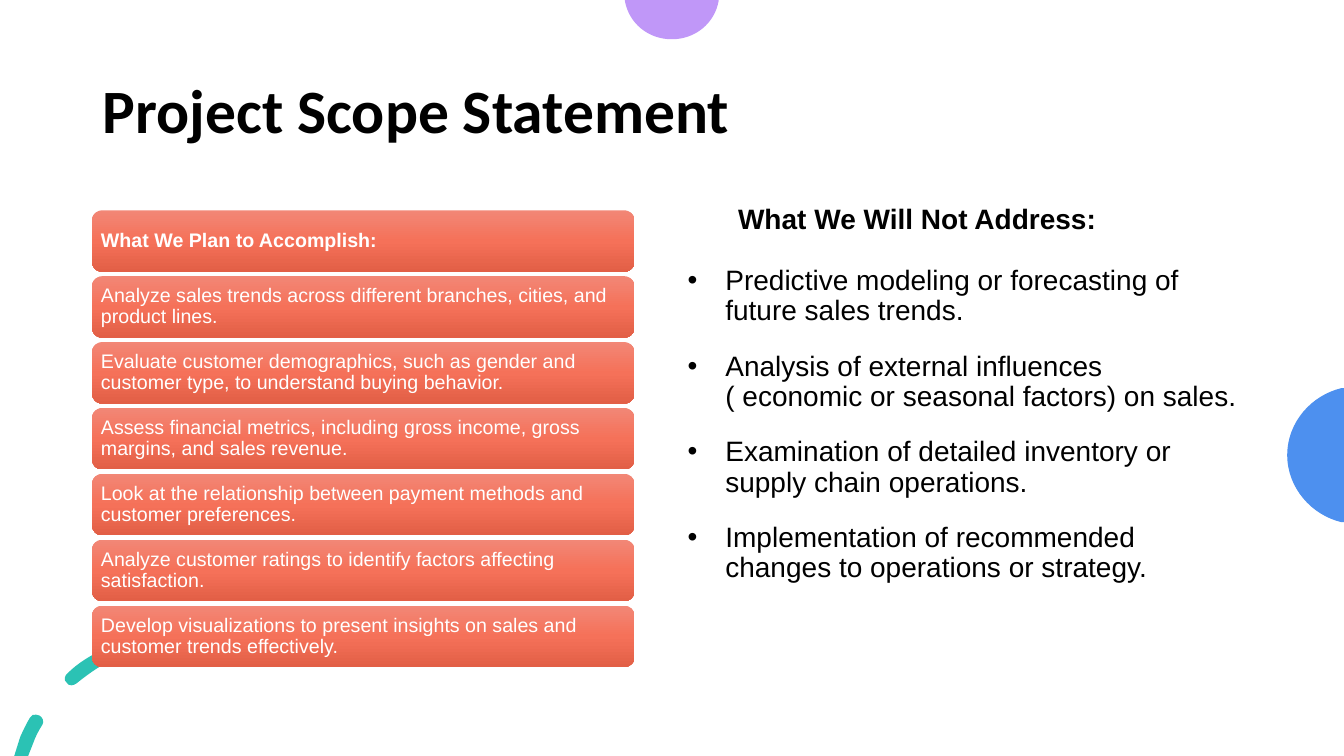
from lxml import etree
from pptx import Presentation
from pptx.dml.color import RGBColor
from pptx.enum.shapes import MSO_SHAPE as Shape
from pptx.enum.text import MSO_ANCHOR as Anchor, PP_ALIGN as Align
from pptx.oxml import parse_xml
from pptx.oxml.ns import nsdecls, qn
from pptx.util import Cm, Pt

# Content
TITLE = "Project Scope Statement"
PLAN = [
    "What We Plan to Accomplish:",
    "Analyze sales trends across different branches, cities, and product lines.",
    "Evaluate customer demographics, such as gender and customer type, to understand buying behavior.",
    "Assess financial metrics, including gross income, gross margins, and sales revenue.",
    "Look at the relationship between payment methods and customer preferences.",
    "Analyze customer ratings to identify factors affecting satisfaction.",
    "Develop visualizations to present insights on sales and customer trends effectively.",
]
EXCLUDED_HEADING = "What We Will Not Address:"
EXCLUDED = [
    "Predictive modeling or forecasting of future sales trends.",
    "Analysis of external influences ( economic or seasonal factors) on sales.",
    "Examination of detailed inventory or supply chain operations.",
    "Implementation of recommended changes to operations or strategy.",
]

# Layout in centimetres
SLIDE_WIDTH, SLIDE_HEIGHT = 33.87, 19.05
TITLE_BOX = (2.34, 1.02, 29.21, 3.68)
EXCLUDED_BOX = (17.08, 5.05, 14.48, 11.94)
CARD_LEFT, CARD_TOP, CARD_WIDTH, CARD_HEIGHT, CARD_PITCH = 2.32, 5.3, 13.67, 1.55, 1.66
CARD_GRADIENT = [(0, "F28776"), (50, "F57159"), (100, "E25F46")]

# Outlines: a start point, then lines (2 numbers) and cubic curves (6 numbers)
TOP_CIRCLE = [
    (15.75, 0), (18.11, 0), (18.11, 0.03), (18.01, 0.58, 17.53, 0.99, 16.93, 0.99),
    (16.33, 0.99, 15.85, 0.58, 15.75, 0.03),
]
RIGHT_CIRCLE = [
    (33.87, 9.78), (33.87, 13.16), (33.81, 13.16), (33.05, 12.98, 32.44, 12.29, 32.44, 11.47),
    (32.44, 10.64, 33.05, 9.96, 33.81, 9.78),
]
LOWER_DASH = [
    (0.91, 18.01), (0.86, 17.98, 0.79, 18.03, 0.76, 18.08),
    (0.66, 18.24, 0.58, 18.42, 0.51, 18.57), (0.36, 19.05), (0.71, 19.05),
    (0.84, 18.72), (0.89, 18.57, 0.97, 18.42, 1.07, 18.26),
    (1.12, 18.19, 1.07, 18.06, 0.99, 18.03), (0.97, 18.01, 0.94, 18.01, 0.91, 18.01),
]
MIDDLE_DASH = [
    (2.67, 16.33), (2.64, 16.33, 2.62, 16.33, 2.62, 16.36),
    (2.29, 16.51, 1.96, 16.71, 1.7, 16.97), (1.63, 17.02, 1.6, 17.15, 1.68, 17.2),
    (1.7, 17.25, 1.75, 17.27, 1.8, 17.27), (1.85, 17.27, 1.88, 17.25, 1.93, 17.22),
    (2.18, 17.02, 2.46, 16.81, 2.77, 16.66), (2.84, 16.61, 2.9, 16.51, 2.84, 16.43),
    (2.82, 16.36, 2.74, 16.33, 2.67, 16.33),
]
UPPER_DASH = [
    (4.55, 15.88), (4.37, 15.88, 4.19, 15.9, 4.01, 15.93),
    (3.91, 15.93, 3.84, 16.03, 3.86, 16.13), (3.86, 16.21, 3.94, 16.28, 4.01, 16.28),
    (4.39, 16.23, 4.72, 16.23, 5.05, 16.26), (5.16, 16.28, 5.26, 16.21, 5.26, 16.13),
    (5.28, 16.03, 5.21, 15.93, 5.11, 15.93), (4.93, 15.9, 4.72, 15.88, 4.55, 15.88),
]
DECORATION = [
    ([TOP_CIRCLE], "C097F8"),
    ([LOWER_DASH, MIDDLE_DASH, UPPER_DASH], "2BC2B4"),
    ([RIGHT_CIRCLE], "4D90EF"),
]


def color(hex_string):
    return RGBColor.from_string(hex_string)


def add_outline(slide, contours, fill):
    builder = slide.shapes.build_freeform(*map(Cm, contours[0][0]))
    for index, (start, *segments) in enumerate(contours):
        if index:
            builder.move_to(*map(Cm, start))
        points = [(Cm(segment[i]), Cm(segment[i + 1]))
                  for segment in segments for i in range(0, len(segment), 2)]
        builder.add_line_segments(points, close=True)
    shape = builder.convert_to_shape()
    shape.shadow.inherit = False
    shape.fill.solid()
    shape.fill.fore_color.rgb = color(fill)
    shape.line.fill.background()

    # Join the three points of each curve into one cubic segment
    lines = iter(list(shape._element.spPr.iter(qn("a:lnTo"))))
    for segment in (segment for contour in contours for segment in contour[1:]):
        first = next(lines)
        if len(segment) == 6:
            curve = etree.Element(qn("a:cubicBezTo"))
            first.addprevious(curve)
            for line in (first, next(lines), next(lines)):
                curve.append(line[0])
                line.getparent().remove(line)


def add_text_box(slide, box, anchor):
    frame = slide.shapes.add_textbox(*map(Cm, box)).text_frame
    frame.word_wrap = True
    frame.vertical_anchor = anchor
    return frame


def write(paragraph, text, size, font_name, hex_string, bold=False):
    paragraph.text = text
    paragraph.alignment = Align.LEFT
    paragraph.line_spacing = 0.9
    font = paragraph.runs[0].font
    font.size, font.name, font.bold = Pt(size), font_name, bold
    font.color.rgb = color(hex_string)


def set_indent(paragraph, left, first=0, bullet=None):
    properties = paragraph._p.get_or_add_pPr()
    properties.set("marL", str(Cm(left)))
    properties.set("indent", str(Cm(first)))
    if bullet:
        etree.SubElement(properties, qn("a:buFont")).set("typeface", "Arial")
        etree.SubElement(properties, qn("a:buChar")).set("char", bullet)


def fill_gradient(shape, stops):
    shape.fill.background()
    stop_xml = "".join(f'<a:gs pos="{percent * 1000}"><a:srgbClr val="{value}"/></a:gs>'
                       for percent, value in stops)
    gradient = parse_xml(f'<a:gradFill {nsdecls("a")} rotWithShape="1"><a:gsLst>{stop_xml}'
                         '</a:gsLst><a:lin ang="5400000" scaled="0"/></a:gradFill>')
    properties = shape._element.spPr
    properties.replace(properties.find(qn("a:noFill")), gradient)


def add_card(slide, index, text):
    shape = slide.shapes.add_shape(
        Shape.ROUNDED_RECTANGLE, Cm(CARD_LEFT), Cm(CARD_TOP + index * CARD_PITCH),
        Cm(CARD_WIDTH), Cm(CARD_HEIGHT))
    shape.shadow.inherit = False
    shape.line.fill.background()
    fill_gradient(shape, CARD_GRADIENT)
    frame = shape.text_frame
    frame.word_wrap = True
    frame.vertical_anchor = Anchor.MIDDLE
    frame.margin_left = frame.margin_right = Cm(0.15)
    frame.margin_top = frame.margin_bottom = Cm(0.15)
    write(frame.paragraphs[0], text, 14, "Arial", "FFFFFF", bold=index == 0)


def main():
    presentation = Presentation()
    presentation.slide_width, presentation.slide_height = Cm(SLIDE_WIDTH), Cm(SLIDE_HEIGHT)
    slide = presentation.slides.add_slide(presentation.slide_layouts[6])

    # Decoration
    for contours, fill in DECORATION:
        add_outline(slide, contours, fill)

    # Title
    title = add_text_box(slide, TITLE_BOX, Anchor.MIDDLE)
    write(title.paragraphs[0], TITLE, 44, "Calibri", "000000", bold=True)

    # Out of scope
    excluded = add_text_box(slide, EXCLUDED_BOX, Anchor.TOP)
    heading = excluded.paragraphs[0]
    write(heading, EXCLUDED_HEADING, 20, "Arial", "000000", bold=True)
    heading.space_before = heading.space_after = Pt(12)
    set_indent(heading, 1.27)
    for text in EXCLUDED:
        paragraph = excluded.add_paragraph()
        write(paragraph, text, 20, "Arial", "000000")
        paragraph.space_before, paragraph.space_after = Pt(10), Pt(8)
        set_indent(paragraph, 0.95, -0.95, "•")

    # In scope
    for index, text in enumerate(PLAN):
        add_card(slide, index, text)

    presentation.save("out.pptx")


if __name__ == "__main__":
    main()
